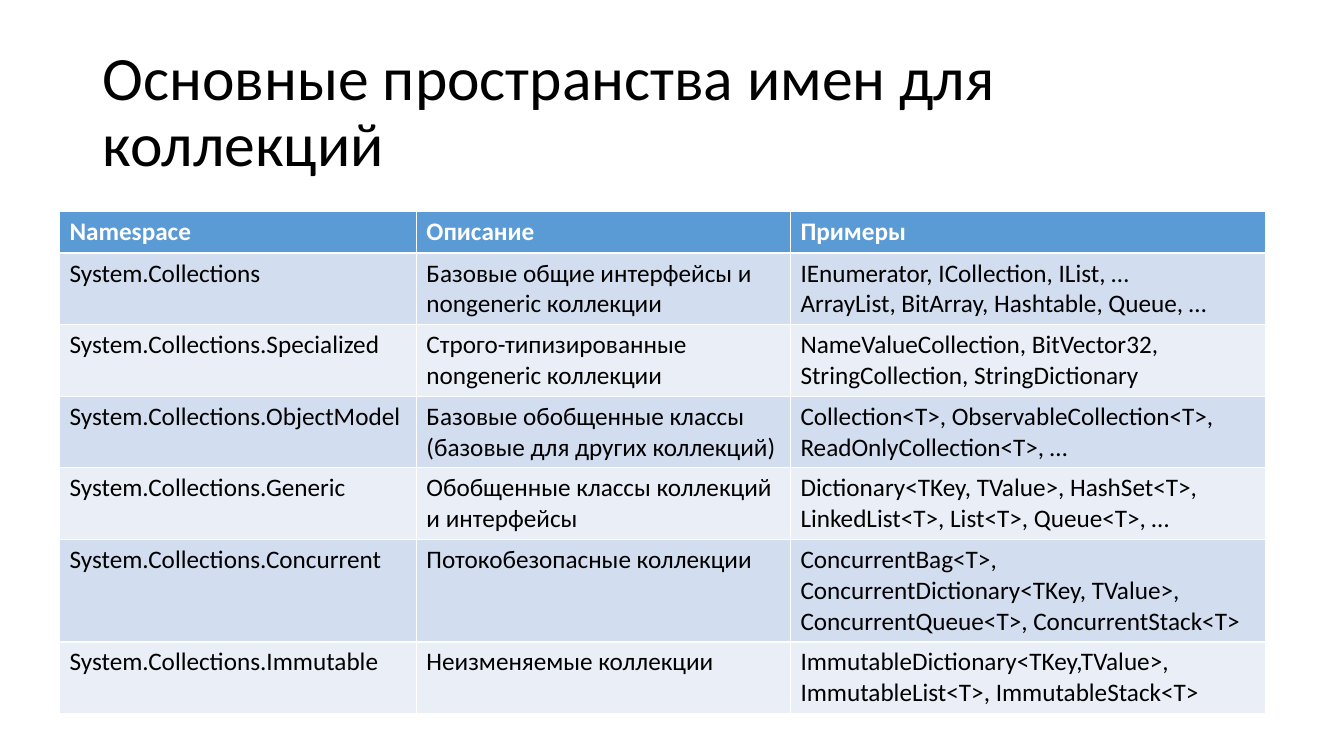
from pptx import Presentation
from pptx.dml.color import RGBColor
from pptx.enum.text import MSO_ANCHOR, MSO_AUTO_SIZE, PP_ALIGN
from pptx.util import Inches, Pt

LEFT = PP_ALIGN.LEFT
MIDDLE = MSO_ANCHOR.MIDDLE
NO_AUTOFIT = MSO_AUTO_SIZE.NONE
TITLE_ONLY = 5
FONT = "Calibri"
COLORS = {
    "header": "5B9BD5",
    "odd_row": "D2DEEF",
    "even_row": "EAEFF7",
    "text": "000000",
    "header_text": "FFFFFF",
}
COLUMN_WIDTHS = [3.54, 3.71, 4.71]
LINE_HEIGHT = 0.3
ONE_LINE_ROW = 0.41

# Each row: number of text lines, then the three cells.
ROWS = [
    (1, "Namespace", "Описание", "Примеры"),
    (2, "System.Collections", "Базовые общие интерфейсы и nongeneric коллекции",
     "IEnumerator, ICollection, IList, …\nArrayList, BitArray, Hashtable, Queue, …"),
    (2, "System.Collections.Specialized", "Строго-типизированные nongeneric коллекции",
     "NameValueCollection, BitVector32, StringCollection, StringDictionary"),
    (2, "System.Collections.ObjectModel",
     "Базовые обобщенные классы (базовые для других коллекций)",
     "Collection<T>, ObservableCollection<T>, ReadOnlyCollection<T>, …"),
    (2, "System.Collections.Generic", "Обобщенные классы коллекций и интерфейсы",
     "Dictionary<TKey, TValue>, HashSet<T>, LinkedList<T>, List<T>, Queue<T>, …"),
    (3, "System.Collections.Concurrent", "Потокобезопасные коллекции",
     "ConcurrentBag<T>, ConcurrentDictionary<TKey, TValue>, "
     "ConcurrentQueue<T>, ConcurrentStack<T>"),
    (2, "System.Collections.Immutable", "Неизменяемые коллекции",
     "ImmutableDictionary<TKey,TValue>, ImmutableList<T>, ImmutableStack<T>"),
]


def format_runs(para, size, color, bold=False):
    for span in para.runs:
        span.font.name = FONT
        span.font.size = Pt(size)
        span.font.bold = bold
        span.font.color.rgb = RGBColor.from_string(COLORS[color])


deck = Presentation()
deck.slide_width = Inches(13.33)
deck.slide_height = Inches(7.5)
page = deck.slides.add_slide(deck.slide_layouts[TITLE_ONLY])

title = page.shapes.title
title.left, title.top = Inches(0.92), Inches(0.4)
title.width, title.height = Inches(11.5), Inches(1.45)
title_frame = title.text_frame
title_frame.text = "Основные пространства имен для коллекций"
title_frame.word_wrap = True
title_frame.auto_size = NO_AUTOFIT
title_frame.vertical_anchor = MIDDLE
title_para = title_frame.paragraphs[0]
title_para.alignment = LEFT
title_para.line_spacing = 0.9
format_runs(title_para, 44, "text")

row_heights = [ONE_LINE_ROW + LINE_HEIGHT * (row[0] - 1) for row in ROWS]
table = page.shapes.add_table(
    len(ROWS), len(COLUMN_WIDTHS), Inches(0.59), Inches(2.1),
    Inches(sum(COLUMN_WIDTHS)), Inches(sum(row_heights))).table
for column, width in zip(table.columns, COLUMN_WIDTHS):
    column.width = Inches(width)

for row_index, (lines, *texts) in enumerate(ROWS):
    table.rows[row_index].height = Inches(row_heights[row_index])
    is_header = row_index == 0
    fill = "header" if is_header else "odd_row" if row_index % 2 else "even_row"
    for column_index, text in enumerate(texts):
        cell = table.cell(row_index, column_index)
        cell.fill.solid()
        cell.fill.fore_color.rgb = RGBColor.from_string(COLORS[fill])
        cell.text_frame.text = text
        for para in cell.text_frame.paragraphs:
            format_runs(para, 18, "header_text" if is_header else "text", is_header)

deck.save("out.pptx")
